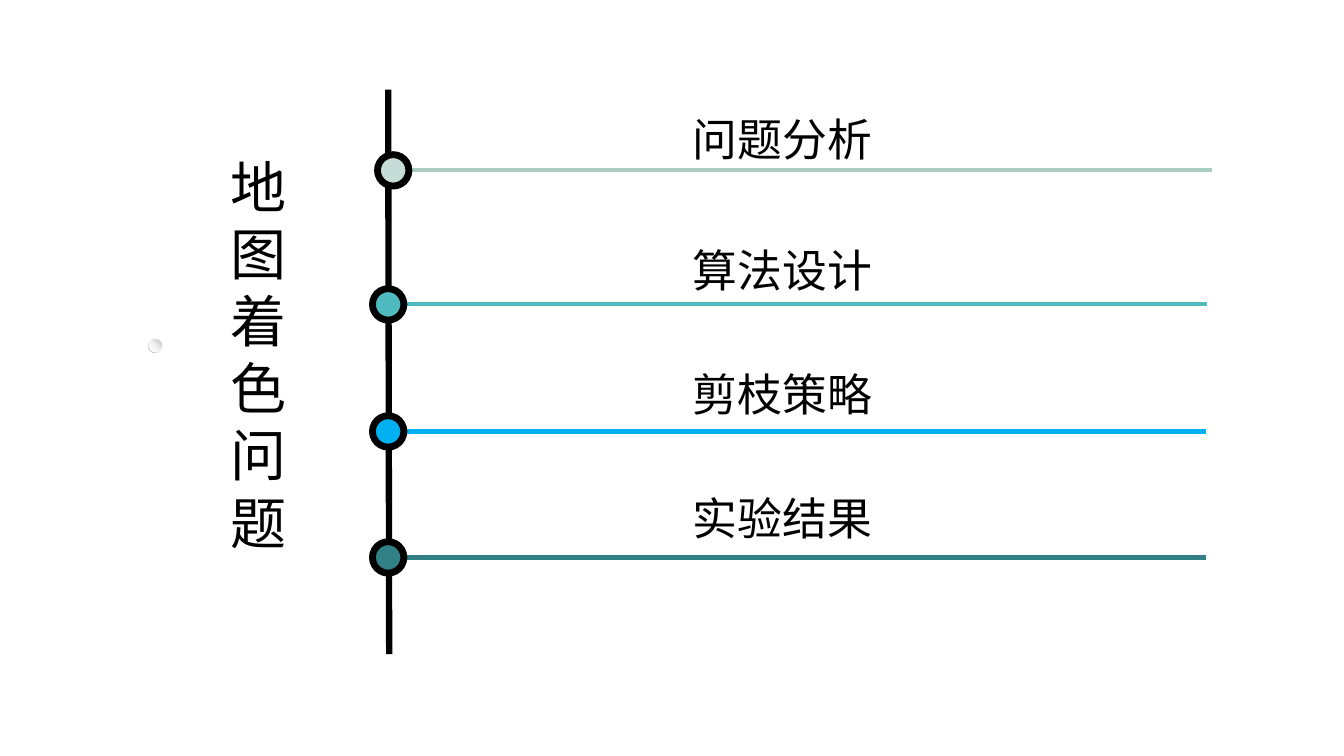
import dataclasses

import lxml.etree
import pptx
import pptx.dml.color
import pptx.enum.shapes
import pptx.enum.text
import pptx.oxml.ns
import pptx.shapes.autoshape
import pptx.slide
import pptx.util

Inches = pptx.util.Inches
Pt = pptx.util.Pt
qn = pptx.oxml.ns.qn
OVAL = pptx.enum.shapes.MSO_SHAPE.OVAL
DONUT = pptx.enum.shapes.MSO_SHAPE.DONUT

FONT = "Noto Sans CJK SC"
BLACK = "000000"
LABEL_CENTER = 7.76
LABEL_HEIGHT = 0.64
DISC_SIZE = 0.27
RING_SIZE = 0.38


@dataclasses.dataclass(frozen=True)
class Topic:
    text: str
    label_top: float
    label_width: float
    node_x: float
    node_y: float
    line_end: float
    line_color: str
    disc_color: str


@dataclasses.dataclass(frozen=True)
class GradientStop:
    percent: int
    color: str


TOPICS = [
    Topic("问题分析", 1.06, 3.89, 3.9, 1.69, 12.02, "A9CDC3", "C6DDD7"),
    Topic("算法设计", 2.36, 3.15, 3.85, 3.02, 11.97, "4FBAC0", "4FBAC0"),
    Topic("剪枝策略", 3.59, 3.42, 3.85, 4.28, 11.96, "00B0F0", "00B0F0"),
    Topic("实验结果", 4.82, 3.42, 3.85, 5.53, 11.96, "308085", "308085"),
]
RIM_STOPS = [GradientStop(0, "FFFFFF"), GradientStop(55, "F2F2F2"), GradientStop(100, "A6A6A6")]
BALL_STOPS = [GradientStop(0, "FFFFFF"), GradientStop(51, "F2F2F2"), GradientStop(100, "BFBFBF")]


def rgb(color: str) -> pptx.dml.color.RGBColor:
    return pptx.dml.color.RGBColor.from_string(color)


def add_round(
    slide: pptx.slide.Slide,
    kind: pptx.enum.shapes.MSO_SHAPE,
    center_x: float,
    center_y: float,
    size: float,
) -> pptx.shapes.autoshape.Shape:
    """Add an unfilled, unlined round shape around a centre point."""
    shape = slide.shapes.add_shape(
        kind, Inches(center_x - size / 2), Inches(center_y - size / 2), Inches(size), Inches(size)
    )
    shape.shadow.inherit = False
    shape.line.fill.background()
    return shape


def fill_solid(shape: pptx.shapes.autoshape.Shape, color: str) -> None:
    shape.fill.solid()
    shape.fill.fore_color.rgb = rgb(color)


def fill_gradient(
    shape: pptx.shapes.autoshape.Shape, stops: list[GradientStop], clockwise_angle: int
) -> None:
    shape.fill.gradient()
    shape.fill.gradient_angle = 360 - clockwise_angle
    stop_list = shape.fill._fill._gradFill.find(qn("a:gsLst"))
    for old_stop in list(stop_list):
        stop_list.remove(old_stop)
    for stop in stops:
        element = lxml.etree.SubElement(stop_list, qn("a:gs"), pos=str(stop.percent * 1000))
        lxml.etree.SubElement(element, qn("a:srgbClr"), val=stop.color)


def add_line(
    slide: pptx.slide.Slide,
    start: tuple[float, float],
    end: tuple[float, float],
    color: str,
    width: float,
) -> None:
    connector = slide.shapes.add_connector(
        pptx.enum.shapes.MSO_CONNECTOR.STRAIGHT, *map(Inches, start + end)
    )
    connector.line.color.rgb = rgb(color)
    connector.line.width = Pt(width)
    lxml.etree.SubElement(connector._element.spPr, qn("a:effectLst"))


def add_text(
    slide: pptx.slide.Slide,
    text: str,
    left: float,
    top: float,
    width: float,
    height: float,
    size: int,
) -> None:
    box = slide.shapes.add_textbox(Inches(left), Inches(top), Inches(width), Inches(height))
    frame = box.text_frame
    frame.word_wrap = True
    paragraph = frame.paragraphs[0]
    paragraph.text = text
    paragraph.alignment = pptx.enum.text.PP_ALIGN.CENTER
    paragraph.line_spacing = Pt(size * 1.2)
    paragraph.font.size = Pt(size)
    paragraph.font.color.rgb = rgb(BLACK)
    # The East Asian typeface is set on the run, beside the Latin one
    run_font = paragraph.runs[0].font
    run_font.name = FONT
    lxml.etree.SubElement(run_font._element, qn("a:ea"), typeface=FONT)


def add_ball(slide: pptx.slide.Slide) -> None:
    rim = add_round(slide, DONUT, 1.54, 3.43, 0.14)
    rim.adjustments[0] = 0.05
    fill_gradient(rim, RIM_STOPS, 135)
    ball = add_round(slide, OVAL, 1.54, 3.43, 0.13)
    fill_gradient(ball, BALL_STOPS, 315)


def add_topic(slide: pptx.slide.Slide, topic: Topic) -> None:
    center = (topic.node_x, topic.node_y)
    add_line(slide, center, (topic.line_end, topic.node_y), topic.line_color, 3)
    disc = add_round(slide, OVAL, *center, DISC_SIZE)
    fill_solid(disc, topic.disc_color)
    ring = add_round(slide, DONUT, *center, RING_SIZE)
    ring.adjustments[0] = 0.18
    fill_solid(ring, BLACK)
    label_left = LABEL_CENTER - topic.label_width / 2
    add_text(
        slide, topic.text, label_left, topic.label_top, topic.label_width, LABEL_HEIGHT, 32
    )


def main() -> None:
    presentation = pptx.Presentation()
    presentation.slide_width = Inches(13.33)
    presentation.slide_height = Inches(7.5)
    slide = presentation.slides.add_slide(presentation.slide_layouts[6])
    add_ball(slide)
    add_line(slide, (3.85, 0.89), (3.86, 6.49), BLACK, 4.5)
    add_text(slide, "地图着色问题", 2.03, 1.46, 1.06, 4.14, 40)
    for topic in TOPICS:
        add_topic(slide, topic)
    presentation.save("out.pptx")


if __name__ == "__main__":
    main()
